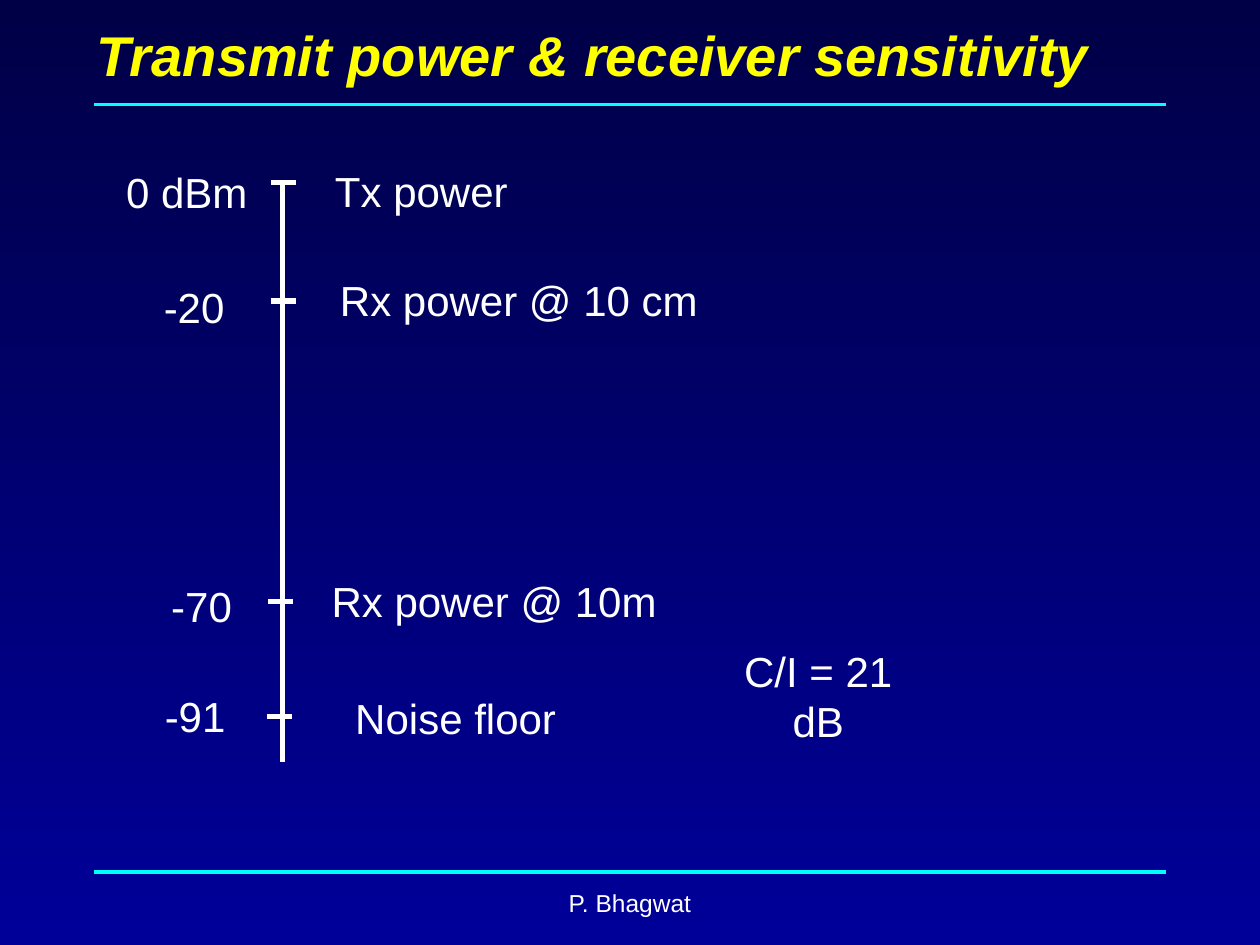
from collections import namedtuple
from dataclasses import dataclass

from lxml.etree import SubElement
from pptx import Presentation
from pptx.dml.color import RGBColor
from pptx.enum.shapes import MSO_CONNECTOR as Connector
from pptx.enum.text import MSO_ANCHOR as Anchor, PP_ALIGN as Align
from pptx.oxml.ns import qn
from pptx.util import Cm, Pt


@dataclass(frozen=True)
class Theme:
    font: str = "Arial"
    top: str = "000046"
    bottom: str = "000099"
    title: str = "FFFF00"
    rule: str = "00FFFF"
    ink: str = "FFFFFF"
    title_size: int = 32
    body_size: int = 24
    footer_size: int = 14
    rule_width: int = 2
    axis_width: int = 3


THEME = Theme()
Box = namedtuple("Box", "left top width height")
# Offsets in cm from the corner of the scale's box
Level = namedtuple("Level", "value value_at value_width tick_at meaning meaning_at meaning_width")

LABEL_HEIGHT = 1.27
TICK_LENGTH = 0.5
LEVELS = [
    Level("0 dBm", (0, 0.03), 2.95, (3.17, 0.48), "Tx power", (4.21, 0), 3.99),
    Level("-20", (0.76, 2.34), 1.73, (3.17, 2.87), "Rx power @ 10 cm", (4.31, 2.21), 7.72),
    Level("-70", (0.91, 8.38), 1.73, (3.12, 8.92), "Rx power @ 10m", (4.14, 8.28), 7.06),
    Level("-91", (0.78, 10.59), 1.73, (3.09, 11.25), "Noise floor", (4.62, 10.64), 4.55),
]


def add_line(page, start, end, color, width):
    line = page.shapes.add_connector(
        Connector.STRAIGHT, Cm(start[0]), Cm(start[1]), Cm(end[0]), Cm(end[1]))
    line.line.color.rgb = RGBColor.from_string(color)
    line.line.width = Pt(width)
    SubElement(line._element.spPr, qn("a:effectLst"))


def add_text(page, box, text, size, color=THEME.ink, align=Align.CENTER,
             anchor=Anchor.MIDDLE, wrap=True, strong=False):
    frame = page.shapes.add_textbox(*map(Cm, box)).text_frame
    frame.word_wrap = wrap
    frame.vertical_anchor = anchor
    frame.text = text
    para = frame.paragraphs[0]
    para.alignment = align
    font = para.runs[0].font
    font.name = THEME.font
    font.size = Pt(size)
    font.bold = font.italic = strong
    font.color.rgb = RGBColor.from_string(color)


def paint_background(page):
    fill = page.background.fill
    fill.gradient()
    fill.gradient_angle = 270
    for stop, position, color in zip(fill.gradient_stops, (0, 1), (THEME.top, THEME.bottom)):
        stop.position = position
        stop.color.rgb = RGBColor.from_string(color)


def add_rule(page, box, y):
    add_line(page, (box.left, y), (box.left + box.width, y), THEME.rule, THEME.rule_width)


def add_header(page, box, title):
    add_rule(page, box, box.top + box.height)
    add_text(page, Box(box.left - 0.2, box.top, box.width, 1.9), title,
             THEME.title_size, THEME.title, Align.LEFT, strong=True)


def add_footer(page, box, author):
    add_rule(page, box, box.top)
    width = 8.05
    add_text(page, Box(box.left + (box.width - width) / 2, box.top + 0.2, width, box.height - 0.2),
             author, THEME.footer_size, anchor=Anchor.TOP)


def add_power_scale(page, box, levels, margin):
    def place(offset):
        return box.left + offset[0], box.top + offset[1]

    def add_label(text, offset, width):
        add_text(page, Box(*place(offset), width, LABEL_HEIGHT), text,
                 THEME.body_size, wrap=False)

    # Vertical axis
    add_line(page, place((3.4, 0.46)), place((3.4, box.height)), THEME.ink, THEME.axis_width)

    # Ticks with value on the left and meaning on the right
    for level in levels:
        x, y = place(level.tick_at)
        add_line(page, (x, y), (x + TICK_LENGTH, y), THEME.ink, THEME.axis_width)
        add_label(level.value, level.value_at, level.value_width)
        add_label(level.meaning, level.meaning_at, level.meaning_width)

    # Margin between signal and noise
    add_label(margin, (11.83, 10.19), 4.75)


def main():
    deck = Presentation()
    deck.slide_width, deck.slide_height = Cm(25.4), Cm(19.05)
    page = deck.slides.add_slide(deck.slide_layouts[6])
    paint_background(page)
    add_header(page, Box(1.9, 0.15, 21.6, 1.96), "Transmit power & receiver sensitivity")
    add_power_scale(page, Box(2.29, 3.2, 16.58, 12.17), LEVELS, "C/I = 21 dB")
    add_footer(page, Box(1.9, 17.58, 21.6, 1.47), "P. Bhagwat")
    deck.save("out.pptx")


if __name__ == "__main__":
    main()
